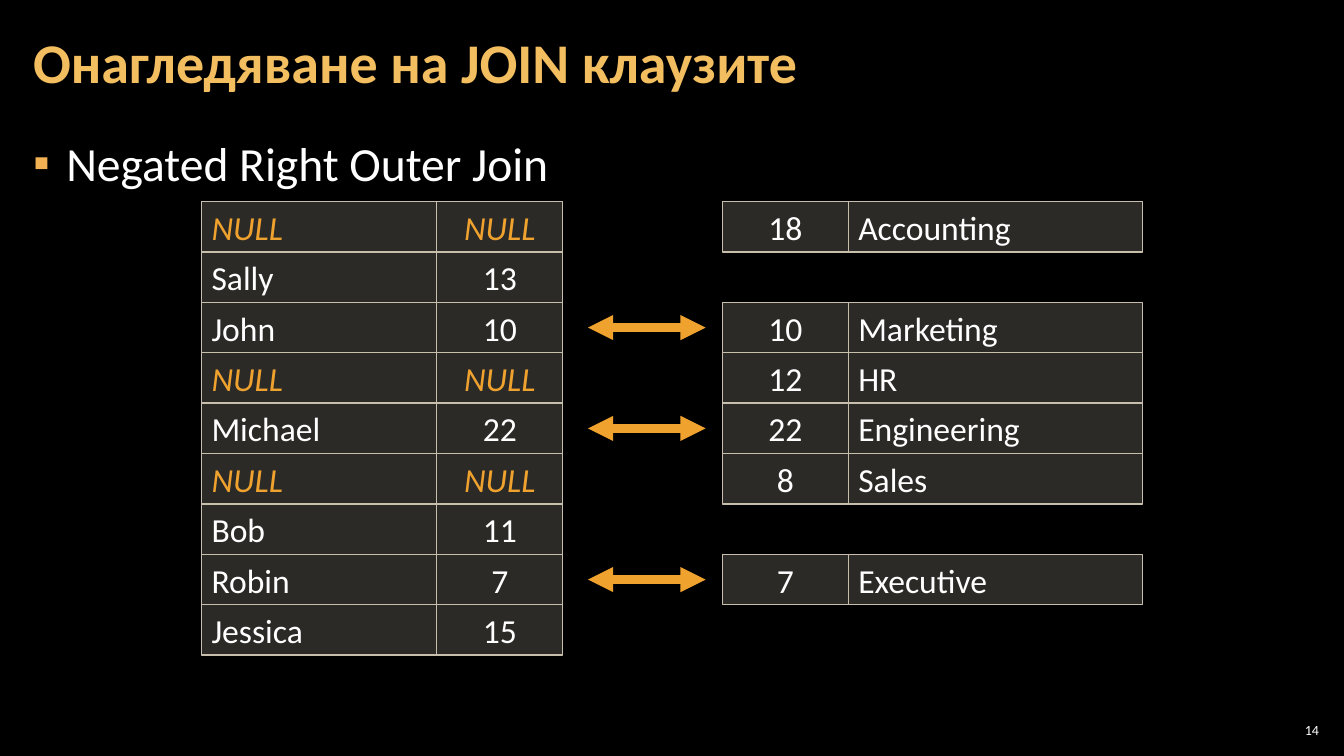
from lxml import etree
from pptx import Presentation
from pptx.dml.color import RGBColor
from pptx.enum.shapes import MSO_CONNECTOR as Connector, MSO_SHAPE as Shape
from pptx.enum.text import MSO_ANCHOR as Anchor, MSO_AUTO_SIZE as AutoSize, PP_ALIGN as Align
from pptx.oxml.ns import qn
from pptx.util import Inches, Pt

COLORS = {
    "background": "000000",
    "title": "F3BE60",
    "bullet": "F2B254",
    "text": "FFFFFF",
    "cell": "D9D5C7",
    "border": "C7BFAC",
    "accent": "F0A22E",
}
FONT = "Calibri"
GRID_COLUMNS, GRID_ROWS = 160, 15
SLIDE_WIDTH, SLIDE_HEIGHT = Inches(13.333), Inches(7.5)
COL, ROW = SLIDE_WIDTH / GRID_COLUMNS, SLIDE_HEIGHT / GRID_ROWS

NULL = "NULL"
EMPLOYEES = [
    (NULL, NULL), ("Sally", "13"), ("John", "10"), (NULL, NULL), ("Michael", "22"),
    (NULL, NULL), ("Bob", "11"), ("Robin", "7"), ("Jessica", "15"),
]
DEPARTMENTS = [
    ("18", "Accounting"), None, ("10", "Marketing"), ("12", "HR"),
    ("22", "Engineering"), ("8", "Sales"), None, ("7", "Executive"),
]


def color(name):
    return RGBColor.from_string(COLORS[name])


def grid_box(column, row, columns, rows):
    return [round(n) for n in (column * COL, row * ROW, columns * COL, rows * ROW)]


def place(part, box):
    part.left, part.top, part.width, part.height = grid_box(*box)


def add_run(paragraph, wording, size, color_name, bold=False, italic=False):
    run = paragraph.add_run()
    run.text = wording
    font = run.font
    font.name, font.size, font.bold, font.italic = FONT, Pt(size), bold, italic
    font.color.rgb = color(color_name)


def set_frame(frame, anchor, side, edge=0.04):
    frame.word_wrap = True
    frame.auto_size = AutoSize.NONE
    frame.vertical_anchor = anchor
    frame.margin_left = frame.margin_right = Inches(side)
    frame.margin_top = frame.margin_bottom = Inches(edge)
    return frame.paragraphs[0]


def fill_title(slide, box):
    title = slide.shapes.title
    place(title, box)
    heading = set_frame(title.text_frame, Anchor.MIDDLE, 0.12)
    heading.alignment = Align.LEFT
    heading.line_spacing = 0.9
    add_run(heading, "Онагледяване на JOIN клаузите", 40, "title", bold=True)


def fill_body(slide, box):
    body = slide.placeholders[1]
    place(body, box)
    join_type = set_frame(body.text_frame, Anchor.TOP, 0.12)
    properties = join_type._p.get_or_add_pPr()
    properties.set("marL", str(Inches(0.33)))
    properties.set("indent", str(-Inches(0.33)))
    bullet_color = etree.SubElement(properties, qn("a:buClr"))
    etree.SubElement(bullet_color, qn("a:srgbClr"), val=COLORS["bullet"])
    etree.SubElement(properties, qn("a:buChar"), char="▪")
    join_type.line_spacing = 1.05
    join_type.space_before, join_type.space_after = Pt(0), Pt(6)
    add_run(join_type, "Negated Right Outer Join", 34, "text")


def add_cell(slide, box, wording, align):
    cell = slide.shapes.add_shape(Shape.RECTANGLE, *grid_box(*box))
    cell.shadow.inherit = False
    cell.fill.solid()
    cell.fill.fore_color.rgb = color("cell")
    tint = cell._element.spPr.find(qn("a:solidFill"))[0]
    etree.SubElement(tint, qn("a:alpha"), val="20000")
    cell.line.color.rgb = color("border")
    cell.line.width = Pt(1)
    value = set_frame(cell.text_frame, Anchor.MIDDLE, 0.1, 0.05)
    value.alignment = align
    missing = wording == NULL
    add_run(value, wording, 24, "accent" if missing else "text", italic=missing)


def add_records(slide, box, records, widths, aligns):
    left, top, _, height = box
    row_height = height / len(records)
    for index, record in enumerate(records):
        column = left
        for wording, width, align in zip(record or (), widths, aligns):
            cell_box = (column, top + index * row_height, width, row_height)
            add_cell(slide, cell_box, wording, align)
            column += width


def add_matches(slide, box):
    column, top, columns, _ = box
    department_ids = [record[0] if record else None for record in DEPARTMENTS]
    for index, (employee, department_id) in enumerate(zip(EMPLOYEES, department_ids)):
        if employee[1] != department_id:
            continue
        left, middle, width, _ = grid_box(column, top + index + 0.5, columns, 0)
        match = slide.shapes.add_connector(
            Connector.STRAIGHT, left, middle, left + width, middle)
        match.line.color.rgb = color("accent")
        match.line.width = Pt(6)
        stroke = match.line._get_or_add_ln()
        for end in ("a:headEnd", "a:tailEnd"):
            etree.SubElement(stroke, qn(end), type="triangle")
        etree.SubElement(match._element.spPr, qn("a:effectLst"))


def add_page_number(slide, box):
    page_box = slide.shapes.add_textbox(*grid_box(*box))
    page = set_frame(page_box.text_frame, Anchor.MIDDLE, 0.04)
    page.alignment = Align.RIGHT
    add_run(page, "14", 10, "text")


def build_join_slide(deck):
    slide = deck.slides.add_slide(deck.slide_layouts[1])
    slide.background.fill.solid()
    slide.background.fill.fore_color.rgb = color("background")
    fill_title(slide, (2.5, 0.08, 155, 2.42))
    fill_body(slide, (2.5, 2.52, 155, 12.18))
    add_records(slide, (24, 4, 43, len(EMPLOYEES)), EMPLOYEES,
                (28, 15), (Align.LEFT, Align.CENTER))
    add_records(slide, (86, 4, 50, len(DEPARTMENTS)), DEPARTMENTS,
                (15, 35), (Align.CENTER, Align.LEFT))
    add_matches(slide, (70, 4, 14, len(EMPLOYEES)))
    add_page_number(slide, (151.8, 14.28, 5.7, 0.42))


def main():
    deck = Presentation()
    deck.slide_width, deck.slide_height = SLIDE_WIDTH, SLIDE_HEIGHT
    build_join_slide(deck)
    deck.save("out.pptx")


if __name__ == "__main__":
    main()
